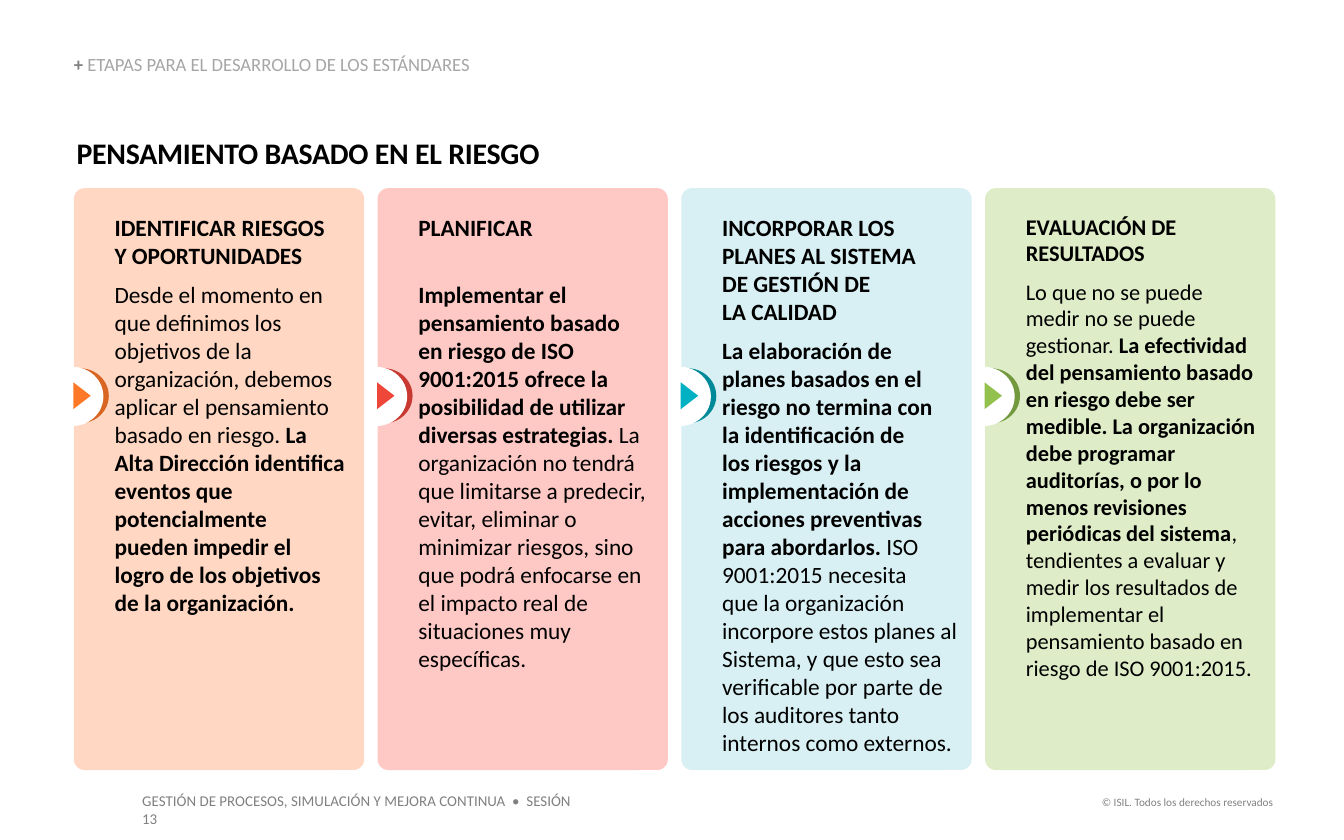
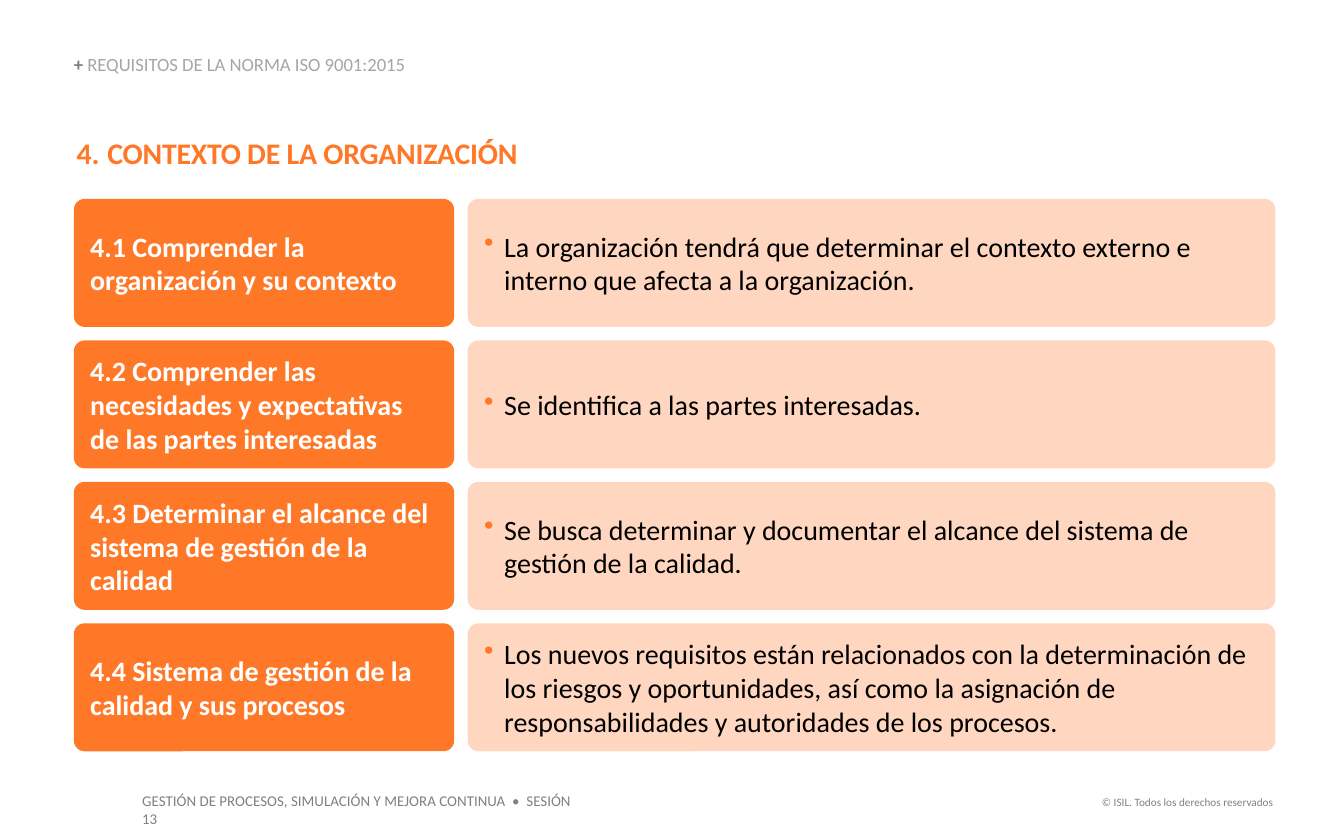
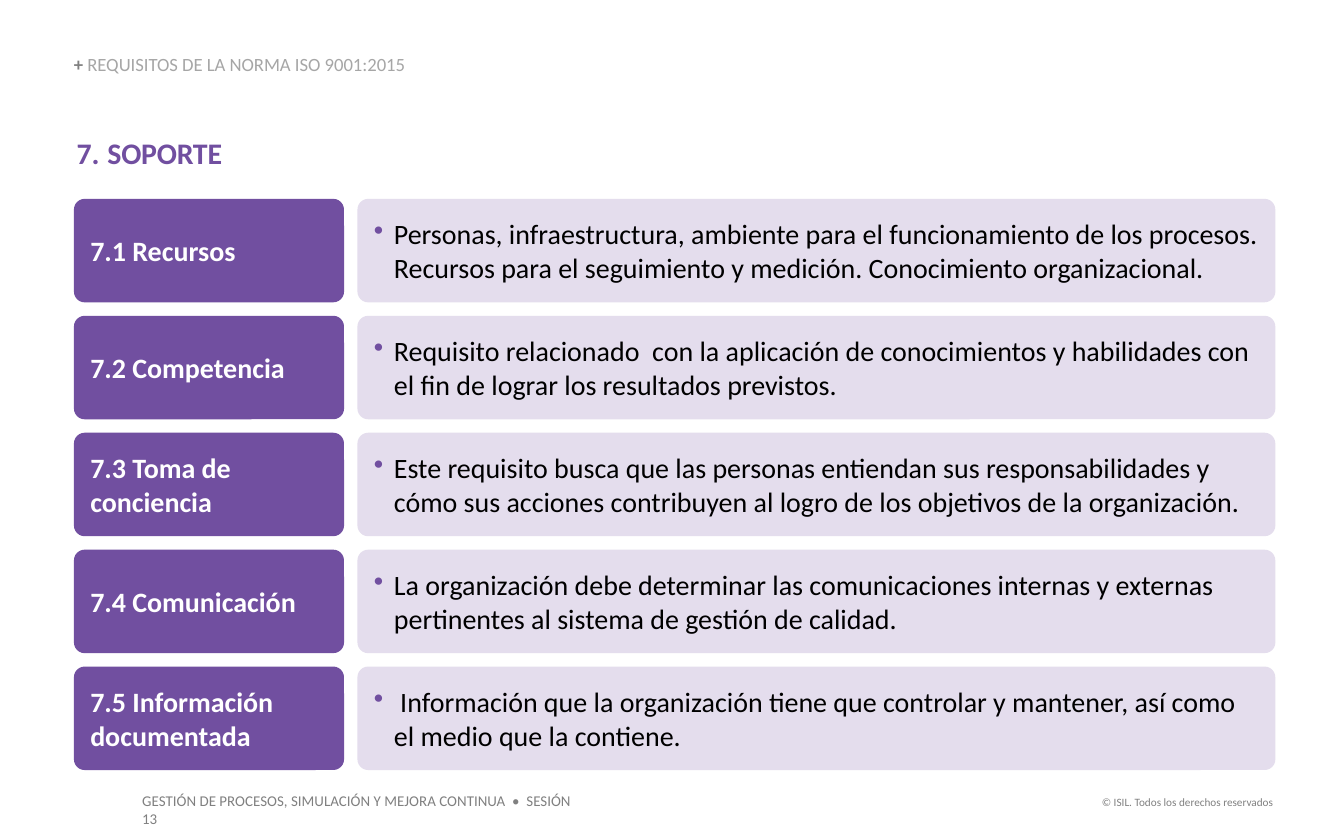
from dataclasses import dataclass

from lxml import etree
from pptx import Presentation
from pptx import util as u
from pptx.dml.color import RGBColor
from pptx.enum import shapes, text
from pptx.oxml.ns import qn


@dataclass(frozen=True)
class Theme:
    font: str = "Calibri"
    black: str = "000000"
    white: str = "FFFFFF"
    grey: str = "808080"
    light_grey: str = "A6A6A6"
    title_size: float = 16
    row_size: float = 15
    section_size: float = 10
    footer_size: float = 8
    rights_size: float = 6
    left: float = 0.55
    right: float = 9.49
    gap: float = 0.1
    radius: float = 0.08


THEME = Theme()
WIDTH, HEIGHT = 10, 6.25
FOOTER = "GESTIÓN DE PROCESOS, SIMULACIÓN Y MEJORA CONTINUA  •  SESIÓN 13"
RIGHTS = "© ISIL. Todos los derechos reservados"

RISK = {
    "section": "ETAPAS PARA EL DESARROLLO DE LOS ESTÁNDARES",
    "title": "PENSAMIENTO BASADO EN EL RIESGO",
    "top": 1.4,
    "bottom": 5.73,
    "stages": [
        {"fill": "FFD7C2", "dark": "D86522", "accent": "FF7828",
         "size": 12.5, "after": 6, "inset": 0.12,
         "heading": "IDENTIFICAR RIESGOS\nY OPORTUNIDADES",
         "body": [
             ("Desde el momento en que definimos los objetivos de la organización, "
              "debemos aplicar el pensamiento basado en riesgo. ", False),
             ("La Alta Dirección identifica eventos que potencialmente pueden "
              "impedir el logro de los objetivos de la organización.", True)]},
        {"fill": "FEC9C5", "dark": "C73931", "accent": "EE4639",
         "size": 12.5, "after": 21, "inset": 0.12,
         "heading": "PLANIFICAR",
         "body": [
             ("Implementar el pensamiento basado en riesgo de ISO 9001:2015 ofrece "
              "la posibilidad de utilizar diversas estrategias. ", True),
             ("La organización no tendrá que limitarse a predecir, evitar, eliminar "
              "o minimizar riesgos, sino que podrá enfocarse en el impacto real de "
              "situaciones muy específicas.", False)]},
        {"fill": "D8F0F3", "dark": "008998", "accent": "00B1C3",
         "size": 12.5, "after": 6, "inset": 0.08,
         "heading": "INCORPORAR LOS PLANES AL SISTEMA\nDE GESTIÓN DE\nLA CALIDAD",
         "body": [
             ("La elaboración de planes basados en el riesgo no termina con\n"
              "la identificación de\nlos riesgos y la implementación de acciones "
              "preventivas para abordarlos. ", True),
             ("ISO 9001:2015 necesita\nque la organización incorpore estos planes "
              "al Sistema, y que esto sea verificable por parte de los auditores "
              "tanto internos como externos.", False)]},
        {"fill": "DEEDC8", "dark": "72993E", "accent": "92C14D",
         "size": 12, "after": 6, "inset": 0.12,
         "heading": "EVALUACIÓN DE RESULTADOS",
         "body": [
             ("Lo que no se puede medir no se puede gestionar. ", False),
             ("La efectividad del pensamiento basado en riesgo debe ser medible. "
              "La organización debe programar auditorías, o por lo menos revisiones "
              "periódicas del sistema", True),
             (", tendientes a evaluar y medir los resultados de implementar el "
              "pensamiento basado en riesgo de ISO 9001:2015.", False)]},
    ],
}

REQUIREMENTS = [
    {"section": "REQUISITOS DE LA NORMA ISO 9001:2015",
     "title": "CONTEXTO DE LA ORGANIZACIÓN", "number": 4,
     "accent": "FF7828", "tint": "FFD7C1",
     "label_width": 2.83, "top": 1.48, "bottom": 5.59,
     "rows": [
         ("4.1 Comprender la organización y su contexto",
          "La organización tendrá que determinar el contexto externo e interno que "
          "afecta a la organización."),
         ("4.2 Comprender las necesidades y expectativas de las partes interesadas",
          "Se identifica a las partes interesadas."),
         ("4.3 Determinar el alcance del sistema de gestión de la calidad",
          "Se busca determinar y documentar el alcance del sistema de gestión de la "
          "calidad."),
         ("4.4 Sistema de gestión de la calidad y sus procesos",
          "Los nuevos requisitos están relacionados con la determinación de los "
          "riesgos y oportunidades, así como la asignación de responsabilidades y "
          "autoridades de los procesos.")]},
    {"section": "REQUISITOS DE LA NORMA ISO 9001:2015",
     "title": "SOPORTE", "number": 7,
     "accent": "714FA0", "tint": "E4DDED",
     "label_width": 2.01, "top": 1.48, "bottom": 5.73,
     "rows": [
         ("7.1 Recursos",
          "Personas, infraestructura, ambiente para el funcionamiento de los "
          "procesos. Recursos para el seguimiento y medición. Conocimiento "
          "organizacional."),
         ("7.2 Competencia",
          "Requisito relacionado  con la aplicación de conocimientos y habilidades "
          "con el fin de lograr los resultados previstos."),
         ("7.3 Toma de conciencia",
          "Este requisito busca que las personas entiendan sus responsabilidades y "
          "cómo sus acciones contribuyen al logro de los objetivos de la "
          "organización."),
         ("7.4 Comunicación",
          "La organización debe determinar las comunicaciones internas y externas "
          "pertinentes al sistema de gestión de calidad."),
         ("7.5 Información documentada",
          " Información que la organización tiene que controlar y mantener, así como "
          "el medio que la contiene.")]},
]


def set_font(font, size, color, bold=None):
    font.name = THEME.font
    font.size = u.Pt(size)
    font.color.rgb = RGBColor.from_string(color)
    font.bold = bold


def set_indent(para, margin, first_line=0):
    properties = para._p.get_or_add_pPr()
    properties.set("marL", str(u.Inches(margin)))
    properties.set("indent", str(u.Inches(first_line)))
    return properties


def add_bullet(para, color):
    properties = set_indent(para, 0.15, -0.15)
    bullet_color = etree.SubElement(properties, qn("a:buClr"))
    etree.SubElement(bullet_color, qn("a:srgbClr"), val=color)
    etree.SubElement(properties, qn("a:buChar"), char="•")


def add_number(para, start):
    properties = set_indent(para, 0.24, -0.23)
    etree.SubElement(properties, qn("a:buAutoNum"),
                     type="arabicPeriod", startAt=str(start))


def add_spans(para, words, bold=None):
    for index, line in enumerate(words.split("\n")):
        if index:
            para.add_line_break()
        span = para.add_run()
        span.text = line
        if bold is not None:
            span.font.bold = bold
    return span


def prepare_frame(shape, anchor, insets):
    frame = shape.text_frame
    frame.word_wrap = True
    frame.vertical_anchor = anchor
    (frame.margin_left, frame.margin_top,
     frame.margin_right, frame.margin_bottom) = map(u.Inches, insets)
    para = frame.paragraphs[0]
    para.alignment = text.PP_ALIGN.LEFT
    return para


def add_text(page, place, anchor=text.MSO_ANCHOR.TOP, insets=(0, 0, 0, 0)):
    box = page.shapes.add_textbox(*map(u.Inches, place))
    return prepare_frame(box, anchor, insets)


def add_block(page, kind, place, fill):
    shape = page.shapes.add_shape(kind, *map(u.Inches, place))
    shape.shadow.inherit = False
    shape.fill.solid()
    shape.fill.fore_color.rgb = RGBColor.from_string(fill)
    shape.line.fill.background()
    return shape


def add_card(page, place, fill):
    card = add_block(page, shapes.MSO_SHAPE.ROUNDED_RECTANGLE, place, fill)
    card.adjustments[0] = THEME.radius / min(place[2:])
    return card


def add_page(deck, content, title_color):
    page = deck.slides.add_slide(deck.slide_layouts[6])

    for words, place, size, align in (
            (RIGHTS, (8.07, 5.87, 1.5, 0.2), THEME.rights_size, text.PP_ALIGN.RIGHT),
            (FOOTER, (0.96, 5.84, 3.5, 0.24), THEME.footer_size, text.PP_ALIGN.LEFT)):
        para = add_text(page, place, insets=(0.1, 0.05, 0.1, 0.05))
        para.alignment = align
        para.text = words
        set_font(para.font, size, THEME.grey)

    para = add_text(page, (THEME.left, 0.41, 4.65, 0.15), text.MSO_ANCHOR.BOTTOM)
    para.line_spacing = 0.9
    set_font(add_spans(para, "+ ").font, THEME.section_size, THEME.grey, True)
    set_font(add_spans(para, content["section"]).font,
             THEME.section_size, THEME.light_grey, False)

    para = add_text(page, (0.56, 1, THEME.right - 0.56, 0.27))
    if "number" in content:
        add_number(para, content["number"])
    else:
        set_indent(para, 0.01)
    para.text = content["title"]
    set_font(para.font, THEME.title_size, title_color, True)
    para._p.pPr.find(qn("a:defRPr")).set("spc", "-10")
    return page


def add_badge(page, left, stage):
    oval = shapes.MSO_SHAPE.OVAL
    add_block(page, oval, (left - 0.17, 2.74, 0.43, 0.41), stage["dark"])
    add_block(page, oval, (left - 0.24, 2.73, 0.46, 0.44), THEME.white)
    arrow = add_block(page, shapes.MSO_SHAPE.ISOSCELES_TRIANGLE,
                      (left - 0.04, 2.88, 0.2, 0.13), stage["accent"])
    arrow.rotation = 90


def add_stages_page(deck, content):
    page = add_page(deck, content, THEME.black)
    stages = content["stages"]
    pitch = (THEME.right - THEME.left + THEME.gap) / len(stages)
    height = content["bottom"] - content["top"]
    for column, stage in reversed(list(enumerate(stages))):
        left = THEME.left + column * pitch
        card = add_card(page, (left, content["top"], pitch - THEME.gap, height),
                        stage["fill"])
        heading = prepare_frame(card, text.MSO_ANCHOR.TOP,
                                (0.28, 0.16, stage["inset"], 0.05))
        heading.space_after = u.Pt(stage["after"])
        add_spans(heading, stage["heading"])
        set_font(heading.font, stage["size"], THEME.black, True)
        body = card.text_frame.add_paragraph()
        body.alignment = text.PP_ALIGN.LEFT
        for words, bold in stage["body"]:
            add_spans(body, words, bold)
        set_font(body.font, stage["size"], THEME.black)
        add_badge(page, left, stage)


def add_requirements_page(deck, content):
    page = add_page(deck, content, content["accent"])
    top, label_width = content["top"], content["label_width"]
    pitch = (content["bottom"] - top + THEME.gap) / len(content["rows"])
    detail_left = THEME.left + label_width + THEME.gap
    columns = (
        (THEME.left, label_width, content["accent"], THEME.white, True),
        (detail_left, THEME.right - detail_left, content["tint"], THEME.black, False))
    for row, cells in enumerate(content["rows"]):
        for words, (left, width, fill, color, is_label) in zip(cells, columns):
            card = add_card(page, (left, top + row * pitch, width, pitch - THEME.gap),
                            fill)
            para = prepare_frame(card, text.MSO_ANCHOR.MIDDLE, (0.1, 0.05, 0.1, 0.05))
            if not is_label:
                add_bullet(para, content["accent"])
            para.text = words
            set_font(para.font, THEME.row_size, color, is_label)


def main():
    deck = Presentation()
    deck.slide_width, deck.slide_height = u.Inches(WIDTH), u.Inches(HEIGHT)
    add_stages_page(deck, RISK)
    for content in REQUIREMENTS:
        add_requirements_page(deck, content)
    deck.save("out.pptx")


if __name__ == "__main__":
    main()
